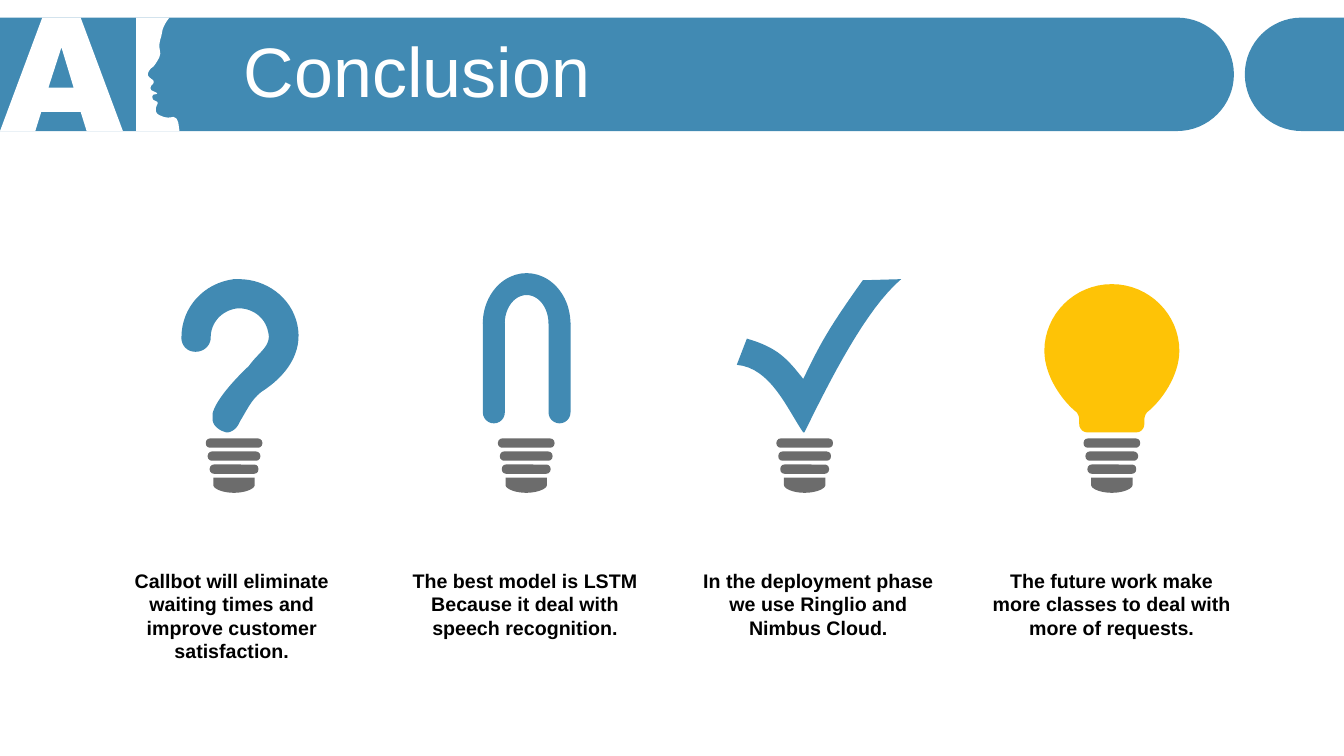
from dataclasses import dataclass

from lxml import etree
from pptx import Presentation
from pptx.dml.color import RGBColor
from pptx.enum.shapes import MSO_SHAPE
from pptx.enum.text import MSO_ANCHOR, PP_ALIGN
from pptx.oxml.ns import qn
from pptx.util import Pt

ROUNDED = MSO_SHAPE.ROUNDED_RECTANGLE
ROUND_END = MSO_SHAPE.ROUND_2_SAME_RECTANGLE
BLOCK_ARC = MSO_SHAPE.BLOCK_ARC
CENTER, LEFT = PP_ALIGN.CENTER, PP_ALIGN.LEFT
MIDDLE, TOP = MSO_ANCHOR.MIDDLE, MSO_ANCHOR.TOP

BLUE, YELLOW, GRAY, WHITE, BLACK = "418AB3", "FEC306", "2F2F2F", "FFFFFF", "000000"
FONT = "Arial"
CURVE_STEPS = 16

# A contour is a list of steps: (x, y) is a line, six numbers a cubic curve.
Contour = list[tuple[float, ...]]

# Header band
BAND_TOP, BAND_MIDDLE, BAND_BOTTOM = 12.6, 53.1, 93.6
BAND_RADIUS = BAND_MIDDLE - BAND_TOP
BAND_HANDLE = 0.55 * BAND_RADIUS

LETTER_A: list[Contour] = [
    [(30.2, BAND_TOP), (57.6, BAND_TOP), (87.8, BAND_BOTTOM), (61.9, BAND_BOTTOM),
     (57.6, 79.9), (29.5, 79.9), (25.2, BAND_BOTTOM), (0, BAND_BOTTOM)],
    [(43.9, 33.8), (34.6, 62.6), (52.6, 62.6)],
]
FACE_PROFILE: Contour = [
    (97.2, BAND_TOP), (121, BAND_TOP), (120.2, 13.7),
    (119.5, 14.4, 116.6, 18.7, 115.9, 22.3), (115.2, 25.9),
    (113.8, 30.2, 113.8, 32.4, 113.8, 33.1), (114.5, 38.2), (113.8, 41),
    (113, 42.5, 110.2, 47.5, 108.7, 48.2), (106.6, 49.7, 105.1, 52.6, 105.8, 54),
    (106.6, 55.4, 108, 56.2, 108.7, 56.9), (109.4, 56.9, 110.2, 58.3, 109.4, 59.8),
    (108, 61.2), (107.3, 62.6, 107.3, 64.1, 108.7, 64.8),
    (110.2, 65.5, 112.3, 66.2, 112.3, 67), (109.4, 67.7),
    (108.7, 68.4, 108.7, 69.8, 109.4, 71.3), (112.3, 72.7),
    (113, 74.2, 112.3, 74.2, 111.6, 76.3), (110.9, 78.5, 110.9, 81.4, 115.2, 82.8),
    (118.1, 84.2, 121, 84.2, 123.8, 83.5), (125.3, 84.2),
    (126.7, 85, 126.7, 86.4, 127.4, 87.8), (128.2, BAND_BOTTOM), (97.2, BAND_BOTTOM),
]

# Icons
QUESTION_MARK: Contour = [
    (170.6, 199.4), (190.1, 199.4, 208.1, 212.4, 212.4, 231.8),
    (216.7, 252, 204.5, 268.6, 186.5, 280.1), (179.3, 285.8, 176.4, 293, 171.4, 301),
    (169.2, 306.7, 164.9, 308.9, 162, 308.9), (158.4, 308.2, 152.6, 305.3, 151.9, 300.2),
    (151.9, 295.2), (154.1, 286.6, 164.9, 273.6, 177.8, 261.4),
    (185, 251.3, 194.4, 247, 191.5, 236.9), (189.4, 226.1, 179.3, 219.6, 169.2, 220.3),
    (158.4, 221.8, 150.5, 230.4, 150.5, 241.2), (150.5, 247, 145.4, 251.3, 139.7, 251.3),
    (133.9, 251.3, 129.6, 247, 129.6, 241.2), (129.6, 219.6, 145.4, 202.3, 167, 199.4),
]
CHECK_MARK: Contour = [
    (643.7, 199.4), (618.5, 221, 593.3, 270.7, 574.6, 308.9), (573.8, 308.9),
    (562.3, 292.3, 550.8, 262.8, 526.3, 260.6), (533.5, 241.9),
    (555.8, 248.4, 562.3, 256.3, 573.8, 270.7), (586.8, 243.4, 593.3, 232.6, 616.3, 200.2),
]
BULB: Contour = [
    (794.2, 203), (820.8, 203, 842.4, 224.6, 842.4, 250.6),
    (842.4, 268.6, 829.4, 286.6, 819.4, 294.5), (816.5, 298.1, 817.9, 300.2, 817.2, 304.6),
    (815.8, 308.2, 813.6, 308.9, 810.7, 308.9), (777.6, 308.9),
    (774.7, 308.9, 772.6, 308.2, 771.1, 304.6), (770.4, 300.2, 771.8, 298.1, 769, 294.5),
    (758.9, 286.6, 746, 268.6, 746, 250.6), (746, 224.6, 767.5, 203, 794.2, 203),
]


@dataclass
class Conclusion:
    text: str
    socket_center: float
    caption_width: float = 194.4


CONCLUSIONS = [
    Conclusion("Callbot will eliminate waiting times and improve customer satisfaction.",
               167.2, 187.2),
    Conclusion("The best model is LSTM Because it deal with speech recognition.", 375.9),
    Conclusion("In the deployment phase we use Ringlio and Nimbus Cloud.", 574.8),
    Conclusion("The future work make more classes to deal with more of requests.", 794.2),
]
CAPTION_CENTER, CAPTION_PITCH, CAPTION_TOP = 165.6, 209.5, 402.5


def paint(shape, color: str, opacity: int = 100) -> None:
    shape.shadow.inherit = False
    shape.fill.solid()
    shape.fill.fore_color.rgb = RGBColor.from_string(color)
    shape.line.fill.background()
    if opacity < 100:
        color_element = shape.fill._xPr.find(qn("a:solidFill"))[0]
        etree.SubElement(color_element, qn("a:alpha"), val=str(opacity * 1000))


def flatten(contour: Contour) -> list[tuple[int, int]]:
    points: list[tuple[float, float]] = []
    for step in contour:
        if len(step) == 2:
            points.append(step)
            continue
        x0, y0 = points[-1]
        x1, y1, x2, y2, x3, y3 = step
        for index in range(1, CURVE_STEPS + 1):
            t = index / CURVE_STEPS
            a, b, c, d = (1 - t) ** 3, 3 * t * (1 - t) ** 2, 3 * t * t * (1 - t), t ** 3
            points.append((a * x0 + b * x1 + c * x2 + d * x3,
                           a * y0 + b * y1 + c * y2 + d * y3))
    return [(Pt(x), Pt(y)) for x, y in points]


def add_outline(shapes, contours: list[Contour], color: str, opacity: int = 100) -> None:
    first, *others = [flatten(contour) for contour in contours]
    builder = shapes.build_freeform(*first[0])
    builder.add_line_segments(first[1:], close=True)
    for points in others:
        builder.move_to(*points[0])
        builder.add_line_segments(points[1:], close=True)
    paint(builder.convert_to_shape(), color, opacity)


def add_preset(shapes, kind, left: float, top: float, width: float, height: float,
               color: str, opacity: int = 100, rotation: float = 0,
               adjustments: tuple[float, ...] = ()) -> None:
    shape = shapes.add_shape(kind, Pt(left), Pt(top), Pt(width), Pt(height))
    shape.rotation = rotation
    for index, value in enumerate(adjustments):
        shape.adjustments[index] = value
    paint(shape, color, opacity)


def add_text(slide, text: str, left: float, top: float, width: float, height: float, *,
             size: float, color: str, bold: bool = False, align=LEFT, anchor=TOP,
             line_spacing: float = 1.0) -> None:
    frame = slide.shapes.add_textbox(Pt(left), Pt(top), Pt(width), Pt(height)).text_frame
    frame.word_wrap = True
    frame.vertical_anchor = anchor
    paragraph = frame.paragraphs[0]
    paragraph.text = text
    paragraph.alignment = align
    paragraph.line_spacing = line_spacing
    font = paragraph.font
    font.name, font.size, font.bold = FONT, Pt(size), bold
    font.color.rgb = RGBColor.from_string(color)


def band_piece(flat_x: float, round_x: float) -> Contour:
    """Band with a straight end at flat_x and a half-round end at round_x."""
    side = 1 if round_x > flat_x else -1
    arc_x = round_x - side * BAND_RADIUS
    handle_x = arc_x + side * BAND_HANDLE
    return [(flat_x, BAND_TOP), (arc_x, BAND_TOP),
            (handle_x, BAND_TOP, round_x, BAND_MIDDLE - BAND_HANDLE, round_x, BAND_MIDDLE),
            (round_x, BAND_MIDDLE + BAND_HANDLE, handle_x, BAND_BOTTOM, arc_x, BAND_BOTTOM),
            (flat_x, BAND_BOTTOM)]


def add_socket(slide, center: float) -> None:
    shapes = slide.shapes.add_group_shape().shapes
    for row, width in enumerate((40.4, 37.6, 34.8)):
        add_preset(shapes, ROUNDED, center - width / 2, 313.2 + 9.3 * row, width, 6.6,
                   GRAY, 70, adjustments=(0.45,))
    left, right = center - 14.8, center + 14.8
    base = [(right, 341.2), (left, 341.2), (left, 346.3),
            (left, 349.2, center - 8, 352, center, 352),
            (center + 8, 352, right, 349.2, right, 346.3)]
    add_outline(shapes, [base], GRAY, 70)


def add_magnet(slide) -> None:
    shapes = slide.shapes.add_group_shape().shapes
    add_preset(shapes, BLOCK_ARC, 344.9, 195.1, 62.6, 72, BLUE)
    for left in (344.9, 391.8):
        add_preset(shapes, ROUND_END, left, 230.4, 15.7, 72, BLUE, rotation=180,
                   adjustments=(0.5, 0))


def main() -> None:
    presentation = Presentation()
    presentation.slide_width, presentation.slide_height = Pt(960), Pt(540)
    slide = presentation.slides.add_slide(presentation.slide_layouts[6])

    # Header
    add_outline(slide.shapes, [band_piece(0, 881.4)], BLUE)
    add_outline(slide.shapes, [*LETTER_A, FACE_PROFILE], WHITE)
    add_outline(slide.shapes, [band_piece(960, 889.2)], BLUE)
    add_text(slide, "Conclusion", 167, 26.6, 769.7, 56.9, size=50, color=WHITE,
             anchor=MIDDLE, line_spacing=0.8)

    # Icons
    add_outline(slide.shapes, [QUESTION_MARK], BLUE)
    add_magnet(slide)
    add_outline(slide.shapes, [CHECK_MARK], BLUE)
    add_outline(slide.shapes, [BULB], YELLOW)

    # Sockets and captions
    for index, item in enumerate(CONCLUSIONS):
        add_socket(slide, item.socket_center)
        left = CAPTION_CENTER + CAPTION_PITCH * index - item.caption_width / 2
        add_text(slide, item.text, left, CAPTION_TOP, item.caption_width, 58.3,
                 size=14, color=BLACK, bold=True, align=CENTER)

    presentation.save("out.pptx")


if __name__ == "__main__":
    main()
